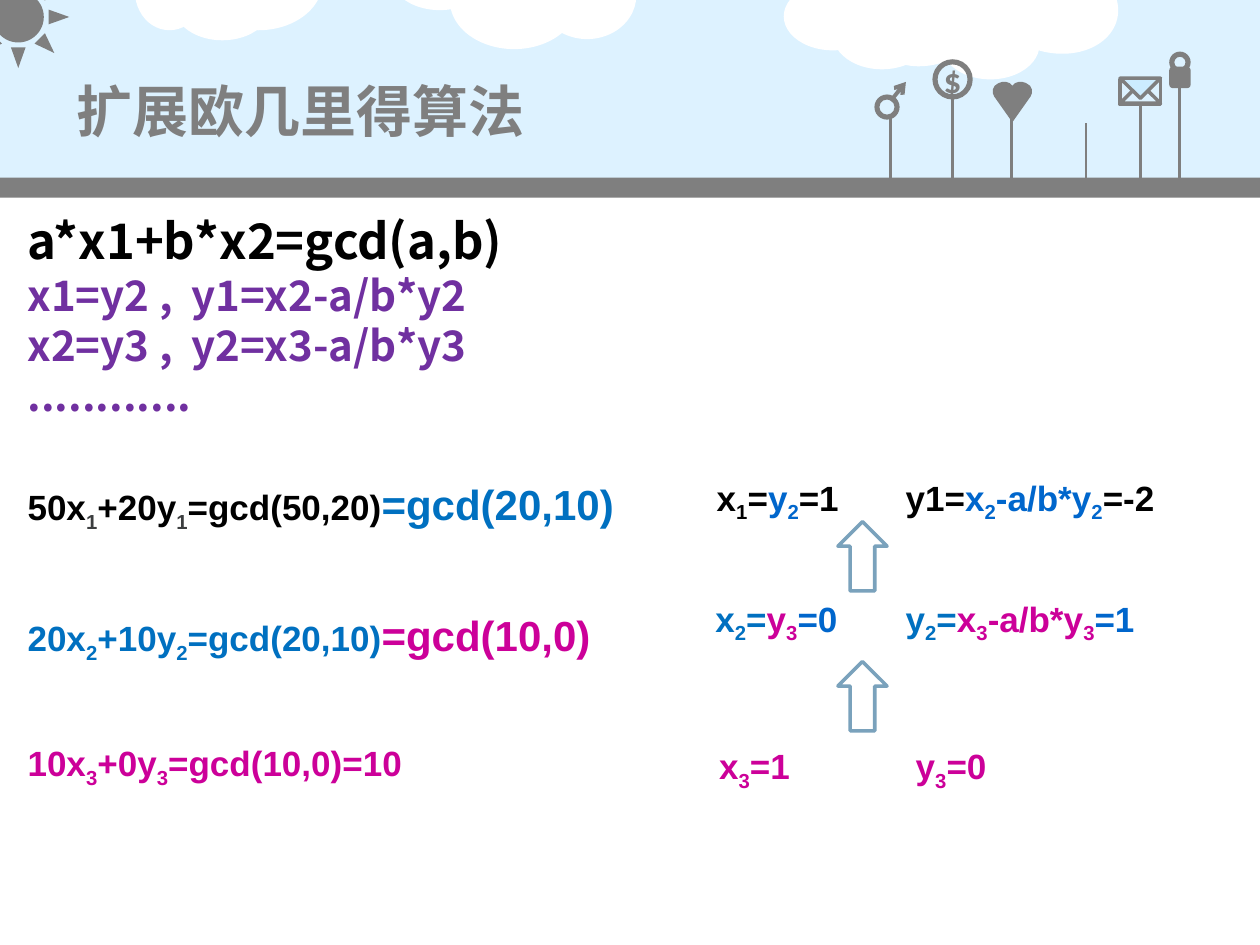
from dataclasses import dataclass
from typing import NamedTuple, Optional

from lxml.etree import SubElement
from pptx import Presentation
from pptx.dml.color import RGBColor
from pptx.enum.shapes import MSO_CONNECTOR, MSO_SHAPE
from pptx.enum.text import MSO_ANCHOR, MSO_AUTO_SIZE, PP_ALIGN
from pptx.oxml.ns import qn
from pptx.util import Emu, Inches, Pt

COLORS = {
    "sky": "DDF2FF", "white": "FFFFFF", "gray": "7F7F7F", "flap": "CCECFF",
    "black": "000000", "charcoal": "3C3E3F", "purple": "7030A0",
    "blue": "0070C0", "royal": "0066CC", "magenta": "CC0099", "steel": "7AA2BC",
}
HEADING_FONT, BODY_FONT, ICON_FONT = "Noto Sans CJK SC", "Arial", "Calibri"

presentation = Presentation()
presentation.slide_width, presentation.slide_height = Inches(10), Inches(7.5)
slide = presentation.slides.add_slide(presentation.slide_layouts[5])

# Grid of 100 columns and 75 rows
COLUMN = presentation.slide_width / 100
ROW = presentation.slide_height / 75


class Box(NamedTuple):
    column: float
    row: float
    columns: float
    rows: float

    def lengths(self) -> list[Emu]:
        units = (COLUMN, ROW, COLUMN, ROW)
        return [Emu(round(value * unit)) for value, unit in zip(self, units)]


@dataclass
class Figure:
    kind: MSO_SHAPE
    box: Box
    fill: Optional[str] = "gray"
    line: Optional[str] = None
    rotation: float = 0
    adjustment: Optional[float] = None


class Span(NamedTuple):
    """Text in one colour; an underscore lowers the character after it."""
    text: str
    color: str
    size: float = 20
    subscript_color: Optional[str] = None


@dataclass
class TextBlock:
    box: Box
    paragraphs: list[list[Span]]
    font: str = BODY_FONT
    tab: Optional[float] = None
    gap: float = 0


def rgb(name: str) -> RGBColor:
    return RGBColor.from_string(COLORS[name])


def paint(shape, fill: Optional[str], line: Optional[str] = None) -> None:
    shape.shadow.inherit = False
    if fill:
        shape.fill.solid()
        shape.fill.fore_color.rgb = rgb(fill)
    else:
        shape.fill.background()
    if line:
        shape.line.color.rgb = rgb(line)
        shape.line.width = Pt(2)
    else:
        shape.line.fill.background()


def draw_figure(figure: Figure):
    shape = slide.shapes.add_shape(figure.kind, *figure.box.lengths())
    paint(shape, figure.fill, figure.line)
    shape.rotation = figure.rotation
    if figure.adjustment is not None:
        shape.adjustments[0] = figure.adjustment
    return shape


def draw_line(start: tuple, end: tuple, width: float = 1.5, arrow: bool = False) -> None:
    points = Box(*start, *end).lengths()
    connector = slide.shapes.add_connector(MSO_CONNECTOR.STRAIGHT, *points)
    connector.line.color.rgb = rgb("gray")
    connector.line.width = Pt(width)
    if arrow:
        SubElement(connector.line._get_or_add_ln(), qn("a:tailEnd"), type="arrow")
    SubElement(connector._element.spPr, qn("a:effectLst"))


def add_run(paragraph, text: str, font: str, size: float, color: str,
            subscript: bool = False) -> None:
    run = paragraph.add_run()
    run.text = text
    run.font.name, run.font.size, run.font.bold = font, Pt(size), True
    run.font.color.rgb = rgb(color)
    properties = run._r.get_or_add_rPr()
    SubElement(properties, qn("a:ea"), typeface=font)
    if subscript:
        properties.set("baseline", "-25000")


def add_span(paragraph, span: Span, font: str) -> None:
    first, *lowered = span.text.split("_")
    add_run(paragraph, first, font, span.size, span.color)
    for part in lowered:
        add_run(paragraph, part[0], font, span.size,
                span.subscript_color or span.color, subscript=True)
        if part[1:]:
            add_run(paragraph, part[1:], font, span.size, span.color)


def draw_text(block: TextBlock) -> None:
    text_frame = slide.shapes.add_textbox(*block.box.lengths()).text_frame
    text_frame.word_wrap = True
    for index, spans in enumerate(block.paragraphs):
        paragraph = text_frame.add_paragraph() if index else text_frame.paragraphs[0]
        if block.tab:
            tabs = SubElement(paragraph._p.get_or_add_pPr(), qn("a:tabLst"))
            SubElement(tabs, qn("a:tab"), pos=str(round(block.tab * COLUMN)), algn="l")
        if index and block.gap:
            paragraph.space_before = Pt(block.gap)
        for span in spans:
            add_span(paragraph, span, block.font)


# Sky, clouds, ground and sun
draw_figure(Figure(MSO_SHAPE.RECTANGLE, Box(0, 0, 100, 14.8), "sky"))
CLOUD_PUFFS = [
    (Box(10.7, -3.8, 5.5, 6.2), 0), (Box(13.8, -2.2, 7.7, 5.4), 0),
    (Box(15.4, -5.3, 10.2, 7.7), 0), (Box(31, -4.6, 7.8, 5.4), 0),
    (Box(35.7, -3.8, 10.2, 7.7), 0), (Box(42.7, -3.8, 7.8, 6.9), 0),
    (Box(66.1, 0, 7.8, 5.5), 0), (Box(78.6, -3.5, 10.2, 7.7), 12.7),
    (Box(68.9, -2.7, 10.2, 7.7), 334.2), (Box(74.7, 0.8, 7.8, 5.5), 0),
    (Box(62.2, -1.4, 7.8, 5.4), 0), (Box(65.3, -3.8, 10.2, 7.7), 12.7),
]
for puff, angle in CLOUD_PUFFS:
    draw_figure(Figure(MSO_SHAPE.OVAL, puff, "white", rotation=angle))
draw_figure(Figure(MSO_SHAPE.RECTANGLE, Box(0, 14.1, 100, 1.6)))
draw_figure(Figure(MSO_SHAPE.SUN, Box(-2.6, -2.7, 8.1, 8.1), adjustment=0.25))

# Icon stems, as column, top and bottom
STEMS = [(70.7, 9.3, 14.3), (75.6, 7.8, 14.8), (80.3, 7.3, 14.8),
         (86.2, 9.8, 14.8), (90.5, 8.2, 14.8), (93.6, 6.3, 14.9)]
for column, top, bottom in STEMS:
    draw_line((column, top), (column, bottom))

# Icons: male sign, coin, envelope and padlock
draw_line((70.7, 8), (71.9, 6.5), 2.25, arrow=True)
draw_figure(Figure(MSO_SHAPE.DONUT, Box(69.4, 7.5, 2, 2), adjustment=0.2))
coin = draw_figure(Figure(MSO_SHAPE.DONUT, Box(74, 4.7, 3.2, 3.2), adjustment=0.13))
coin.text_frame.word_wrap = False
coin.text_frame.vertical_anchor = MSO_ANCHOR.MIDDLE
coin.text_frame.paragraphs[0].alignment = PP_ALIGN.CENTER
add_run(coin.text_frame.paragraphs[0], "$", ICON_FONT, 20, "gray")
TRIANGLE = MSO_SHAPE.ISOSCELES_TRIANGLE
for icon_part in [
    Figure(MSO_SHAPE.RECTANGLE, Box(88.9, 6.3, 3.2, 2), None, "gray"),
    Figure(TRIANGLE, Box(88.9, 6.6, 3.2, 1.6), None, "gray"),
    Figure(TRIANGLE, Box(88.9, 6.2, 3.2, 1.6), "flap", "gray", rotation=180),
    Figure(MSO_SHAPE.DONUT, Box(92.8, 4.1, 1.7, 1.7), adjustment=0.24),
    Figure(MSO_SHAPE.FLOWCHART_ALTERNATE_PROCESS, Box(92.8, 5.3, 1.7, 1.7)),
]:
    draw_figure(icon_part)

# Heart: right half of the outline, mirrored about its stem
HEART_HALF = [(0, 6.8), (0.2, 6.6), (0.5, 6.5), (0.8, 6.5), (1.1, 6.6),
              (1.4, 6.8), (1.55, 7.1), (1.55, 7.4), (1.45, 7.65), (0, 9.7)]
heart_outline = [(80.35 + x, y) for x, y in HEART_HALF]
heart_outline += [(80.35 - x, y) for x, y in HEART_HALF[-2:0:-1]]
heart_points = [(round(x * COLUMN), round(y * ROW)) for x, y in heart_outline]
builder = slide.shapes.build_freeform(*heart_points[0])
builder.add_line_segments(heart_points[1:], close=True)
paint(builder.convert_to_shape(), "gray")

# Title, brought in front of the sky
title = slide.shapes.title
title.left, title.top, title.width, title.height = Box(5.1, 4.4, 90, 8.7).lengths()
title.text_frame.auto_size = MSO_AUTO_SIZE.NONE
title.text_frame.vertical_anchor = MSO_ANCHOR.MIDDLE
title.text_frame.paragraphs[0].alignment = PP_ALIGN.LEFT
add_run(title.text_frame.paragraphs[0], "扩展欧几里得算法", HEADING_FONT, 32, "gray")
slide.shapes._spTree.append(title._element)

# Recurrence, worked example and back substitution
for text_block in [
    TextBlock(Box(1.2, 16.2, 72.4, 17.7), [
        [Span("a*x1+b*x2=gcd(a,b)", "black", 28)],
        [Span("x1=y2 ,\ty1=x2-a/b*y2", "purple", 24)],
        [Span("x2=y3 ,\ty2=x3-a/b*y3", "purple", 24)],
        [Span("............", "purple", 24)]], HEADING_FONT, tab=13),
    TextBlock(Box(1.2, 37.5, 55.1, 26.2), [
        [Span("50x_1+20y_1=gcd(50,20)", "black", subscript_color="charcoal"),
         Span("=gcd(20,10)", "blue", 24)],
        [Span("20x_2+10y_2=gcd(20,10)", "blue"), Span("=gcd(10,0)", "magenta", 24)],
        [Span("10x_3+0y_3=gcd(10,0)=10", "magenta")]], gap=43.7),
    TextBlock(Box(55.9, 37.3, 40.7, 4.8), [
        [Span("x_1=", "black"), Span("y_2", "royal"), Span("=1\ty1=", "black"),
         Span("x_2-a/b*y_2", "royal"), Span("=-2", "black")]], tab=15),
    TextBlock(Box(55.8, 46.9, 37.7, 4.8), [
        [Span("x_2=", "blue"), Span("y_3", "magenta"), Span("=0\t", "royal"),
         Span("y_2=", "blue"), Span("x_3-a/b*y_3", "magenta"),
         Span("=1", "royal")]], tab=15.1),
    TextBlock(Box(56.1, 58.6, 32.4, 4.8), [
        [Span("x_3=1\ty_3=0", "magenta")]], tab=15.6),
]:
    draw_text(text_block)

# Arrows leading up from each solution to the previous one
for arrow_top in (52.5, 41.4):
    draw_figure(Figure(MSO_SHAPE.UP_ARROW, Box(66.5, arrow_top, 3.9, 5.5), "white", "steel"))

presentation.save("out.pptx")
